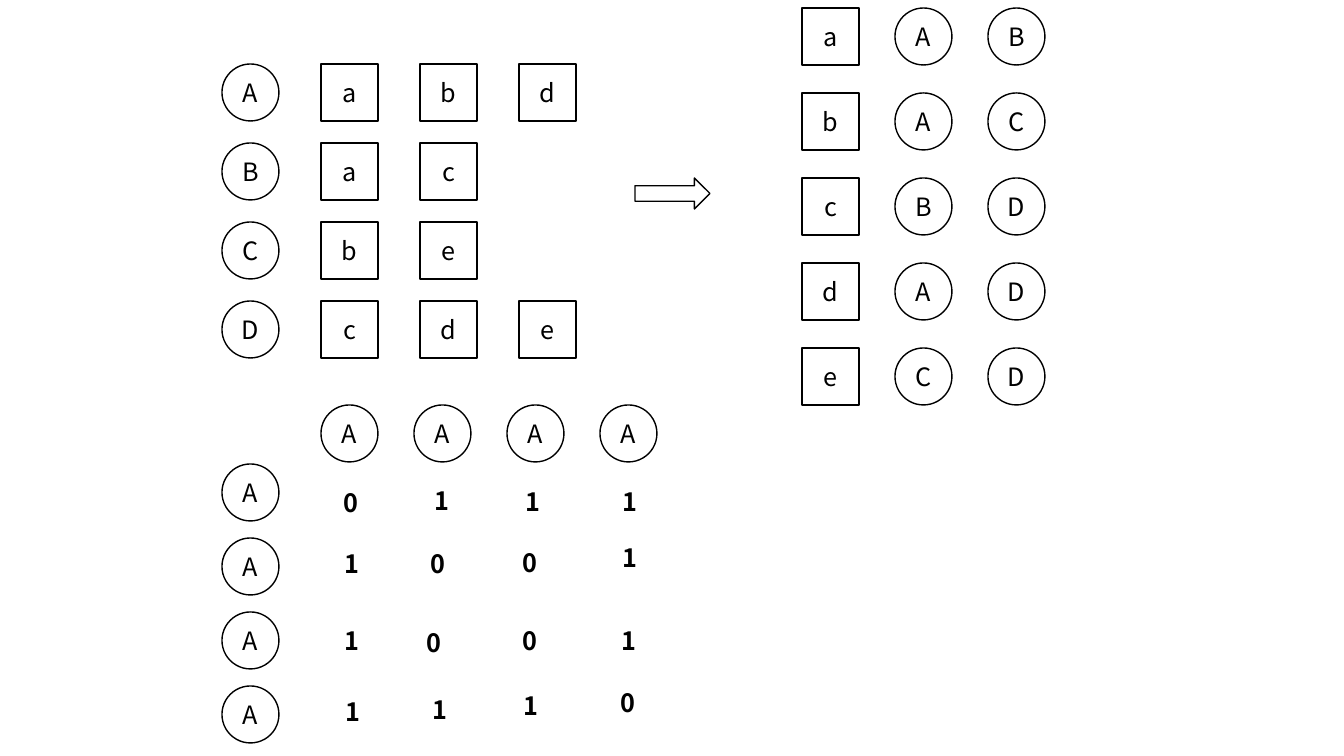
"""Build a slide that inverts an incidence list and shows its adjacency matrix."""
from pptx import Presentation
from pptx.dml.color import RGBColor
from pptx.enum.shapes import MSO_SHAPE
from pptx.enum.text import MSO_ANCHOR, MSO_AUTO_SIZE, PP_ALIGN
from pptx.util import Emu, Pt

COLORS = {"paper": "FFFFFF", "ink": "000000"}
PX = 914400 / 100.8
SIZE = 57


def px(n):
    return Emu(round(n * PX))


class Deck:
    """Hold the style and the current slide."""

    def __init__(self, prs):
        self.font, self.pt = "Noto Sans CJK SC", 18
        self.s = prs.slides.add_slide(prs.slide_layouts[6])

    def color(self, name):
        return RGBColor.from_string(COLORS[name])

    def text(self, tf, text, bold=False):
        p = tf.paragraphs[0]
        p.alignment = PP_ALIGN.CENTER
        r = p.add_run()
        r.text = text
        r.font.name, r.font.size, r.font.bold = self.font, Pt(self.pt), bold
        r.font.color.rgb = self.color("ink")

    def shape(self, kind, x, y, w, h):
        sp = self.s.shapes.add_shape(kind, px(x), px(y), px(w), px(h))
        sp.shadow.inherit = False
        sp.fill.solid()
        sp.fill.fore_color.rgb = self.color("paper")
        sp.line.color.rgb = self.color("ink")
        sp.line.width = Pt(1)
        return sp

    def item(self, name, x, y):
        kind = MSO_SHAPE.OVAL if name.isupper() else MSO_SHAPE.RECTANGLE
        tf = self.shape(kind, x, y, SIZE, SIZE).text_frame
        tf.vertical_anchor = MSO_ANCHOR.MIDDLE
        self.text(tf, name)

    def grid(self, rows, x, y, dx, dy):
        for i, row in enumerate(rows):
            for j, name in enumerate(row):
                self.item(name, x + j * dx, y + i * dy)

    def digit(self, text, x, y):
        tf = self.s.shapes.add_textbox(px(x), px(y), px(55), px(40)).text_frame
        tf.word_wrap = True
        tf.auto_size = MSO_AUTO_SIZE.SHAPE_TO_FIT_TEXT
        self.text(tf, text, bold=True)


prs = Presentation()
prs.slide_width, prs.slide_height = px(1344), px(756)
deck = Deck(prs)

deck.grid(["Aabd", "Bac", "Cbe", "Dcde"], 222, 64, 99, 79)
deck.shape(MSO_SHAPE.RIGHT_ARROW, 635, 178, 75, 31)
deck.grid(["aAB", "bAC", "cBD", "dAD", "eCD"], 802, 8, 93, 85)

deck.grid(["AAAA"], 321, 405, 93, 0)
deck.grid(["A"] * 4, 222, 464, 0, 74)

matrix = ["0111", "1001", "1001", "1110"]
places = [
    [(323, 482), (414, 480), (505, 481), (602, 481)],
    [(324, 543), (410, 543), (502, 542), (602, 537)],
    [(324, 620), (406, 622), (502, 620), (601, 620)],
    [(325, 691), (412, 689), (503, 685), (600, 682)],
]
for digits, spots in zip(matrix, places):
    for digit, (x, y) in zip(digits, spots):
        deck.digit(digit, x, y)

prs.save("out.pptx")
